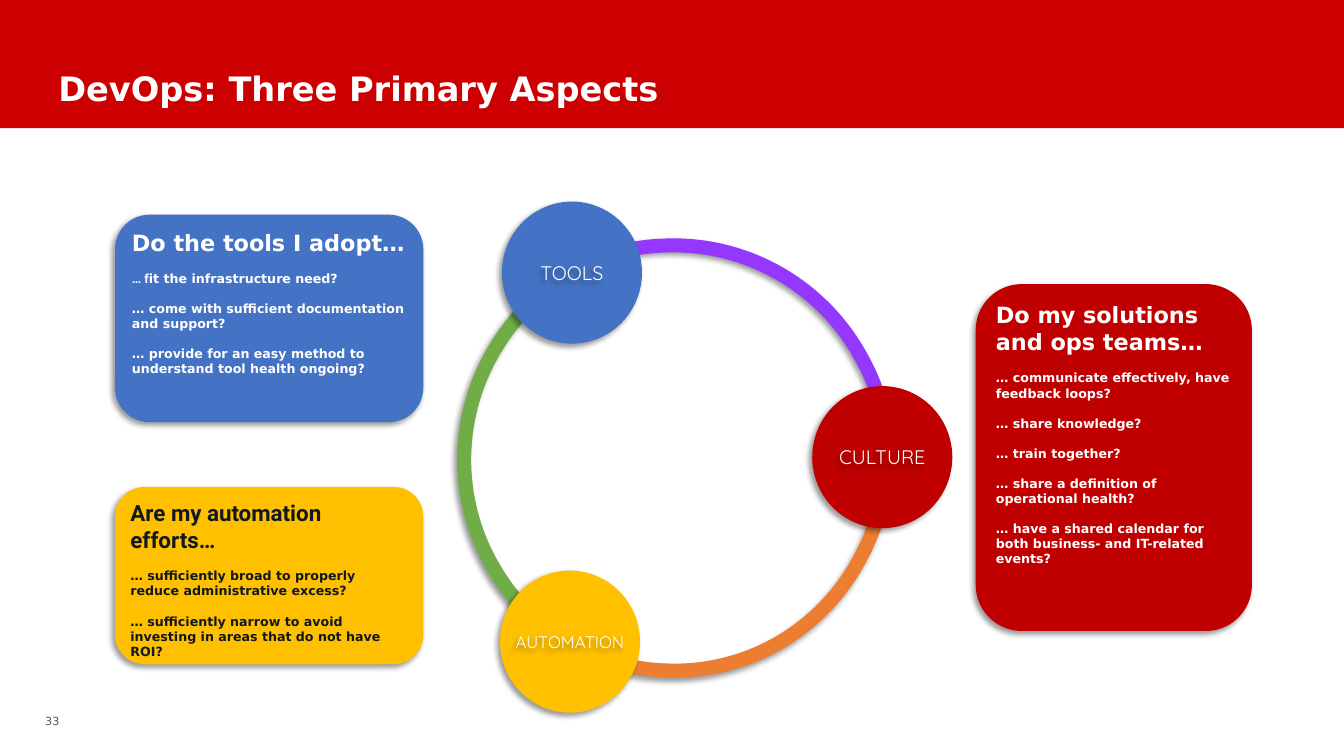
"""Build the slide on the three primary aspects of DevOps."""
from lxml import etree
from pptx import Presentation, oxml
from pptx import util as u
from pptx.dml.color import RGBColor
from pptx.enum import shapes, text
from pptx.oxml import ns

WHITE = RGBColor(0xFF, 0xFF, 0xFF)
INK = RGBColor(0x11, 0x18, 0x20)
GREY = RGBColor(0x53, 0x56, 0x5B)
BANNER_RED = RGBColor(0xCC, 0x00, 0x00)
RED = RGBColor(0xC0, 0x00, 0x00)
BLUE = RGBColor(0x44, 0x72, 0xC4)
YELLOW = RGBColor(0xFF, 0xC0, 0x00)
ORANGE = RGBColor(0xED, 0x7D, 0x31)
GREEN = RGBColor(0x70, 0xAD, 0x47)
PURPLE = RGBColor(0x94, 0x37, 0xFF)

SANS, ROBOTO, QUICKSAND = "DejaVu Sans", "Roboto", "Quicksand"

TITLE = "DevOps: Three Primary Aspects"
PAGE_NUMBER = "33"

ARCS = [
    ((11.63, 6.22, 10.77, 10.59), 90, ORANGE),
    ((11.71, 6.17, 10.64, 10.74), 210.4, GREEN),
    ((11.71, 6.17, 10.64, 10.74), 329.7, PURPLE),
]

ASPECTS = [
    ("AUTOMATION", 12.6, 14.38, YELLOW, 12),
    ("CULTURE", 20.47, 9.73, RED, 14),
    ("TOOLS", 12.65, 5.08, BLUE, 14),
]
CIRCLE_W, CIRCLE_H = 3.53, 3.58
LABEL_W, LABEL_H = 4.5, 0.9

CARDS = [
    ((2.9, 5.41, 7.77, 5.23), BLUE, WHITE, SANS, "Do the tools I adopt…", [
        [("… f", ROBOTO), ("it the infrastructure need?", SANS)],
        "… come with sufficient documentation and support?",
        "… provide for an easy method to understand tool health ongoing?",
    ]),
    ((2.9, 12.27, 7.77, 4.47), YELLOW, INK, ROBOTO, "Are my automation efforts…", [
        "… sufficiently broad to properly reduce administrative excess?",
        "… sufficiently narrow to avoid investing in areas that do not have ROI?",
    ]),
    ((24.59, 7.16, 6.96, 8.74), RED, WHITE, SANS, "Do my solutions and ops teams…", [
        "… communicate effectively, have feedback loops?",
        "… share knowledge?",
        "… train together?",
        "… share a definition of operational health?",
        "… have a shared calendar for both business- and IT-related events?",
    ]),
]

SHADOW = (
    '<a:effectLst %s><a:outerShdw blurRad="50800" dist="38100" dir="8100000" '
    'algn="tr" rotWithShape="0"><a:srgbClr val="000000"><a:alpha val="40000"/>'
    '</a:srgbClr></a:outerShdw></a:effectLst>' % ns.nsdecls("a")
)


def cast_shadow(part):
    part.shadow.inherit = False
    props = part.element.spPr
    props.replace(props.find(ns.qn("a:effectLst")), oxml.parse_xml(SHADOW))


def add_filled(slide, preset, box, colour):
    part = slide.shapes.add_shape(preset, *map(u.Cm, box))
    part.shadow.inherit = False
    part.fill.solid()
    part.fill.fore_color.rgb = colour
    part.line.fill.background()
    return part


def add_arc(slide, box, turn, colour):
    arc = slide.shapes.add_shape(shapes.MSO_SHAPE.ARC, *map(u.Cm, box))
    arc.adjustments[0], arc.adjustments[1] = 162, 17.93
    arc.rotation = turn
    arc.fill.background()
    arc.line.color.rgb = colour
    arc.line.width = u.Pt(10)
    for end in ("a:headEnd", "a:tailEnd"):
        etree.SubElement(arc.element.spPr.find(ns.qn("a:ln")), ns.qn(end), type="oval")
    cast_shadow(arc)


def write(frame, content, *, size, colour, font=SANS, bold=False, before=0,
          align=text.PP_ALIGN.LEFT, anchor=text.MSO_ANCHOR.MIDDLE,
          inset=(0.25, 0.13), append=False):
    frame.word_wrap = True
    frame.vertical_anchor = anchor
    frame.margin_left = frame.margin_right = u.Cm(inset[0])
    frame.margin_top = frame.margin_bottom = u.Cm(inset[1])
    paragraph = frame.add_paragraph() if append else frame.paragraphs[0]
    paragraph.alignment = align
    if before:
        paragraph.space_before = u.Pt(before)
    for words, face in [(content, font)] if isinstance(content, str) else content:
        run = paragraph.add_run()
        run.text = words
        run.font.name = face
        run.font.size = u.Pt(size)
        run.font.bold = bold
        run.font.color.rgb = colour


def add_text(slide, box, content, **style):
    part = slide.shapes.add_textbox(*map(u.Cm, box))
    write(part.text_frame, content, **style)
    return part


def main():
    deck = Presentation()
    deck.slide_width, deck.slide_height = u.Cm(33.87), u.Cm(19.05)
    slide = deck.slides.add_slide(deck.slide_layouts[6])

    add_filled(slide, shapes.MSO_SHAPE.RECTANGLE, (0, 0, 33.87, 3.23), BANNER_RED)
    add_text(slide, (1.22, 0.69, 31.42, 2.18), TITLE, size=24, colour=WHITE,
             bold=True, anchor=text.MSO_ANCHOR.BOTTOM)
    add_text(slide, (0.89, 17.86, 1.42, 0.64), PAGE_NUMBER, size=8, colour=GREY)

    for box, turn, colour in ARCS:
        add_arc(slide, box, turn, colour)

    for name, left, top, colour, size in ASPECTS:
        circle = add_filled(slide, shapes.MSO_SHAPE.OVAL,
                            (left, top, CIRCLE_W, CIRCLE_H), colour)
        cast_shadow(circle)
        label_box = (left + (CIRCLE_W - LABEL_W) / 2,
                     top + (CIRCLE_H - LABEL_H) / 2, LABEL_W, LABEL_H)
        label = add_text(slide, label_box, name, size=size, colour=WHITE,
                         font=QUICKSAND, align=text.PP_ALIGN.CENTER,
                         inset=(0.17, 0.1))
        cast_shadow(label)

    for box, colour, ink, heading_font, heading, questions in CARDS:
        card = add_filled(slide, shapes.MSO_SHAPE.ROUNDED_RECTANGLE, box, colour)
        cast_shadow(card)
        style = dict(colour=ink, bold=True, anchor=text.MSO_ANCHOR.TOP,
                     inset=(0.17, 0.1))
        write(card.text_frame, heading, size=16, font=heading_font, **style)
        for question in questions:
            write(card.text_frame, question, size=9, before=10.7, append=True, **style)

    deck.save("out.pptx")


if __name__ == "__main__":
    main()
